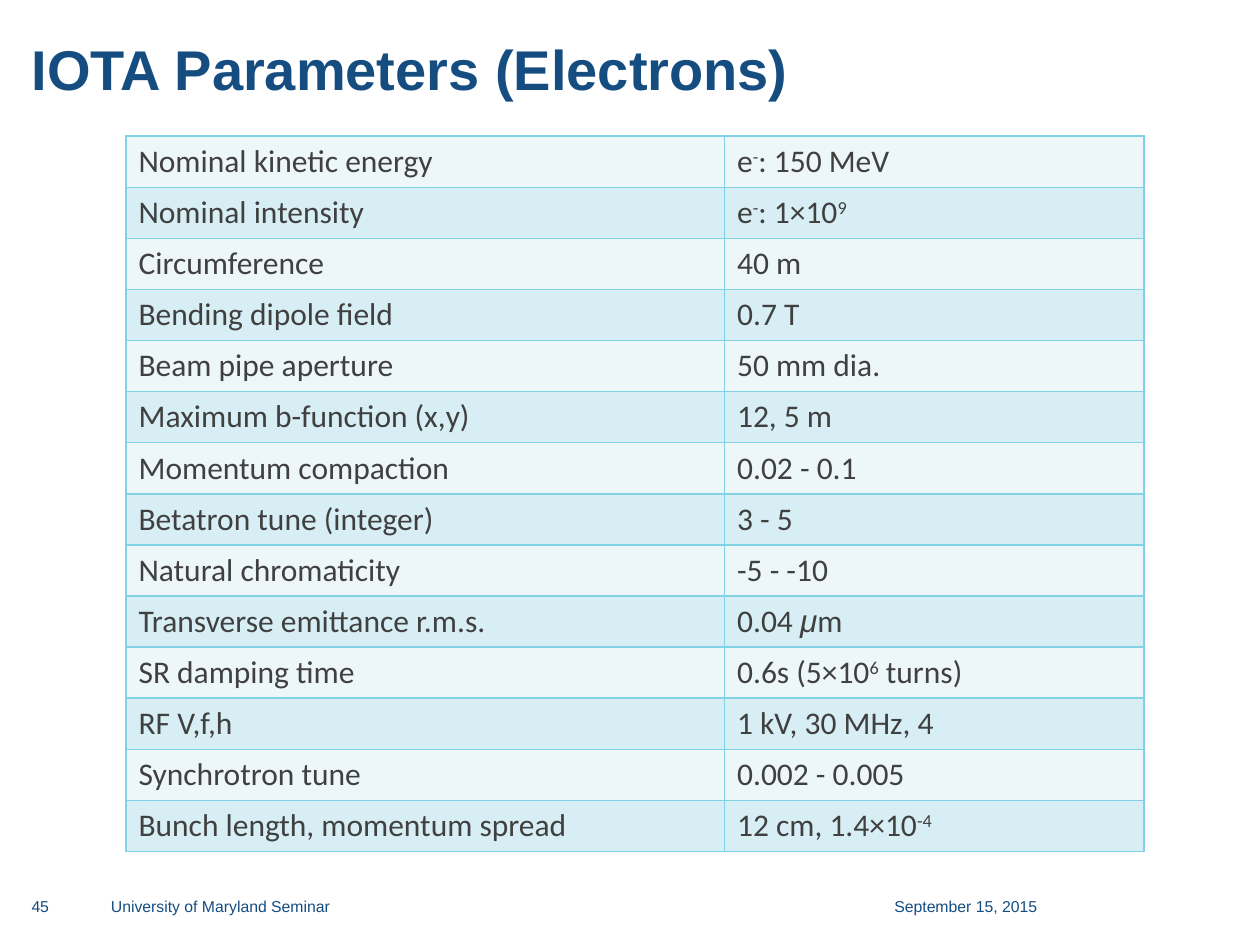
from lxml.etree import SubElement
from pptx import Presentation
from pptx.dml.color import RGBColor
from pptx.enum.text import MSO_ANCHOR, MSO_AUTO_SIZE, PP_ALIGN
from pptx.oxml.ns import qn
from pptx.util import Pt

TITLE = "IOTA Parameters (Electrons)"

SUP, SYMBOL = "superscript", "symbol"

# Each value is a list of runs: plain text, or (text, style).
PARAMETERS = [
    ("Nominal kinetic energy", ["e", ("-", SUP), ": 150 MeV"]),
    ("Nominal intensity", ["e", ("-", SUP), ": 1×10", ("9", SUP)]),
    ("Circumference", ["40 m"]),
    ("Bending dipole field", ["0.7 T"]),
    ("Beam pipe aperture", ["50 mm dia."]),
    ("Maximum b-function (x,y)", ["12, 5 m"]),
    ("Momentum compaction", ["0.02 - 0.1"]),
    ("Betatron tune (integer)", ["3 - 5"]),
    ("Natural chromaticity", ["-5 - -10"]),
    ("Transverse emittance r.m.s.", ["0.04 ", ("μ", SYMBOL), "m"]),
    ("SR damping time", ["0.6s (5×10", ("6", SUP), " turns)"]),
    ("RF V,f,h", ["1 kV, 30 MHz, 4"]),
    ("Synchrotron tune", ["0.002 - 0.005"]),
    ("Bunch length, momentum spread", ["12 cm, 1.4×10", ("-4", SUP)]),
]

# text, left, width, alignment
FOOTER = [
    ("45", 18, 35.3, PP_ALIGN.LEFT),
    ("University of Maryland Seminar", 63.4, 423.4, PP_ALIGN.LEFT),
    ("September 15, 2015", 507.6, 85, PP_ALIGN.RIGHT),
]
FOOTER_TOP, FOOTER_HEIGHT = 512.6, 18.7

TABLE_LEFT, TABLE_TOP = 72, 77.8
COLUMN_WIDTHS = (342, 239.8)
ROW_HEIGHT = 28.8

THEME = {
    "heading_font": "Arial",
    "body_font": "Calibri",
    "blue": RGBColor.from_string("154D81"),
    "text": RGBColor.from_string("404040"),
    "bands": [RGBColor.from_string(c) for c in ("EDF7FA", "D8EEF5")],
    "border": "82D2E6",
    "title_size": 32,
    "table_size": 18,
    "footer_size": 9,
}


def set_font(font, name, size, color, bold=False):
    font.name, font.size, font.bold = name, Pt(size), bold
    font.color.rgb = color


def fill_text_box(sp, text, size, align, anchor, bold=False):
    tf = sp.text_frame
    tf.text = text
    tf.word_wrap = True
    tf.auto_size = MSO_AUTO_SIZE.NONE
    tf.vertical_anchor = anchor
    tf.margin_left = tf.margin_top = tf.margin_right = tf.margin_bottom = 0
    p = tf.paragraphs[0]
    p.alignment = align
    set_font(p.runs[0].font, THEME["heading_font"], size, THEME["blue"], bold)


def add_borders(cell):
    tcPr = cell._tc.get_or_add_tcPr()
    for side in ("lnL", "lnR", "lnT", "lnB"):
        ln = SubElement(tcPr, qn(f"a:{side}"), w=str(Pt(1)))
        fill = SubElement(ln, qn("a:solidFill"))
        SubElement(fill, qn("a:srgbClr"), val=THEME["border"])


def fill_cell(cell, runs, band):
    add_borders(cell)
    cell.fill.solid()
    cell.fill.fore_color.rgb = band
    cell.margin_left = cell.margin_right = Pt(7.2)
    cell.margin_top = cell.margin_bottom = Pt(3.6)
    p = cell.text_frame.paragraphs[0]
    for run in runs:
        text, style = (run, None) if isinstance(run, str) else run
        r = p.add_run()
        r.text = text
        name = THEME["heading_font" if style == SYMBOL else "body_font"]
        set_font(r.font, name, THEME["table_size"], THEME["text"])
        if style == SYMBOL:
            r.font.italic = True
        elif style == SUP:
            r._r.get_or_add_rPr().set("baseline", "30000")


def add_parameter_table(s):
    table = s.shapes.add_table(
        len(PARAMETERS), len(COLUMN_WIDTHS), Pt(TABLE_LEFT), Pt(TABLE_TOP),
        Pt(sum(COLUMN_WIDTHS)), Pt(ROW_HEIGHT * len(PARAMETERS))).table
    table.first_row = table.horz_banding = False
    for column, width in zip(table.columns, COLUMN_WIDTHS):
        column.width = Pt(width)
    for i, (name, value) in enumerate(PARAMETERS):
        table.rows[i].height = Pt(ROW_HEIGHT)
        band = THEME["bands"][i % 2]
        fill_cell(table.cell(i, 0), [name], band)
        fill_cell(table.cell(i, 1), value, band)


def main():
    prs = Presentation()
    prs.slide_width, prs.slide_height = Pt(720), Pt(540)
    s = prs.slides.add_slide(prs.slide_layouts[5])

    title = s.shapes.title
    title.left, title.top, title.width, title.height = Pt(18), Pt(8), Pt(684), Pt(50.4)
    fill_text_box(title, TITLE, THEME["title_size"], PP_ALIGN.LEFT,
                  MSO_ANCHOR.BOTTOM, bold=True)

    add_parameter_table(s)
    for text, left, width, align in FOOTER:
        sp = s.shapes.add_textbox(Pt(left), Pt(FOOTER_TOP), Pt(width), Pt(FOOTER_HEIGHT))
        fill_text_box(sp, text, THEME["footer_size"], align, MSO_ANCHOR.TOP)

    prs.save("out.pptx")


if __name__ == "__main__":
    main()
